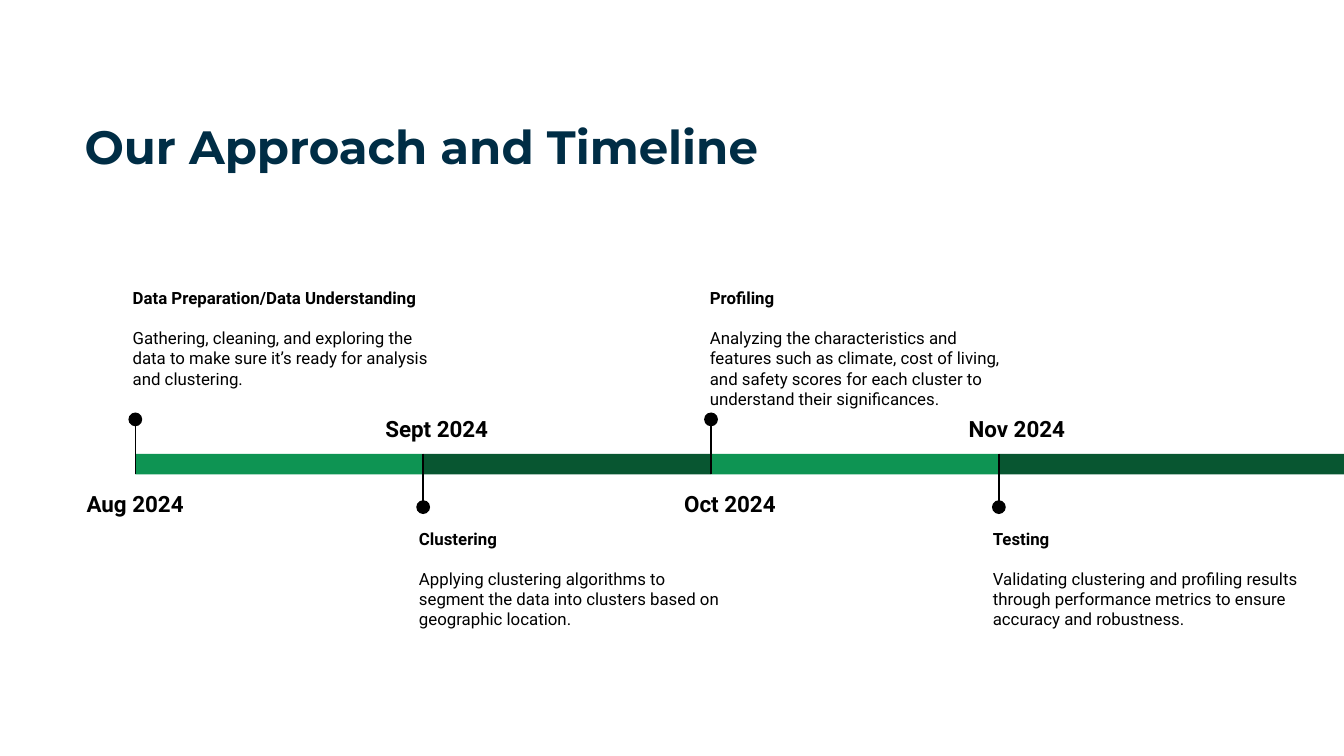
from pptx import Presentation
from pptx.dml.color import RGBColor
from pptx.enum.shapes import MSO_CONNECTOR, MSO_SHAPE
from pptx.enum.text import PP_ALIGN
from pptx.oxml.ns import qn
from pptx.util import Pt
from lxml.etree import SubElement

WIDTH = 720
START = 72.5
STEP = 154.2
BAR_TOP = 243.2
BAR_H = 11
DOT = 7.4
BLACK = "000000"
GREENS = ["0E9453", "085631"]

STAGES = [
    ("Aug 2024", 38.2, 68.4, "Data Preparation/Data Understanding", 64,
     "Gathering, cleaning, and exploring the data to make sure it’s ready "
     "for analysis and clustering."),
    ("Sept 2024", 198, 72, "Clustering", 217.4,
     "Applying clustering algorithms to segment the data into clusters "
     "based on geographic location."),
    ("Oct 2024", 355.4, 71.3, "Profiling", 373.2,
     "Analyzing the characteristics and features such as climate, cost of "
     "living, and safety scores for each cluster to understand their "
     "significances."),
    ("Nov 2024", 505.5, 78.5, "Testing", 524.8,
     "Validating clustering and profiling results through performance "
     "metrics to ensure accuracy and robustness."),
]


def color(code):
    """Turn a hex string into a colour."""
    return RGBColor.from_string(code)


def add_form(slide, kind, left, top, width, height, fill):
    """Add a plain filled shape without outline or shadow."""
    form = slide.shapes.add_shape(kind, Pt(left), Pt(top), Pt(width), Pt(height))
    form.shadow.inherit = False
    form.fill.solid()
    form.fill.fore_color.rgb = color(fill)
    form.line.fill.background()


def add_stem(slide, x, top, bottom):
    """Add a thin vertical line."""
    stem = slide.shapes.add_connector(
        MSO_CONNECTOR.STRAIGHT, Pt(x), Pt(top), Pt(x), Pt(bottom))
    stem.line.color.rgb = color(BLACK)
    stem.line.width = Pt(0.75)
    SubElement(stem._element.spPr, qn("a:effectLst"))


def add_box(slide, left, top, width, height):
    """Add an empty wrapping text box and return its frame."""
    box = slide.shapes.add_textbox(Pt(left), Pt(top), Pt(width), Pt(height))
    frame = box.text_frame
    frame.word_wrap = True
    frame.margin_left = frame.margin_right = Pt(7.2)
    frame.margin_top = frame.margin_bottom = Pt(7.2)
    return frame


def add_run(para, text, size, bold=True, face="Roboto", ink=BLACK):
    """Add one formatted run to a paragraph."""
    run = para.add_run()
    run.text = text
    run.font.name = face
    run.font.size = Pt(size)
    run.font.bold = bold
    run.font.color.rgb = color(ink)


def add_date(slide, text, left, top, width):
    """Add a centred date label."""
    para = add_box(slide, left, top, width, 29.5).paragraphs[0]
    para.alignment = PP_ALIGN.CENTER
    para.line_spacing = 1.15
    add_run(para, text, 12)


def add_note(slide, head, body, left, top):
    """Add a bold heading with a description below it."""
    frame = add_box(slide, left, top, 177.1, 74.2)
    para = frame.paragraphs[0]
    para.space_after = Pt(10.8)
    add_run(para, head, 9)
    add_run(frame.add_paragraph(), body, 9, bold=False)


def add_stage(slide, index, stage):
    """Add one timeline stage, its note above or below the bar by turns."""
    date, date_x, date_w, head, note_x, body = stage
    above = index % 2 == 0
    x = START + index * STEP
    end = WIDTH if index == len(STAGES) - 1 else x + STEP
    base = BAR_TOP + BAR_H
    dot_y = 224.7 if above else 271.7
    add_form(slide, MSO_SHAPE.RECTANGLE, x, BAR_TOP, end - x, BAR_H,
             GREENS[index % 2])
    if above:
        add_stem(slide, x, dot_y, base)
    else:
        add_stem(slide, x, BAR_TOP, dot_y)
    add_form(slide, MSO_SHAPE.OVAL, x - DOT / 2, dot_y - DOT / 2, DOT, DOT, BLACK)
    add_date(slide, date, date_x, 253.4 if above else 213.1, date_w)
    add_note(slide, head, body, note_x, 146.9 if above else 275.8)


def main():
    """Build the slide and save it."""
    deck = Presentation()
    deck.slide_width, deck.slide_height = Pt(WIDTH), Pt(405)
    slide = deck.slides.add_slide(deck.slide_layouts[6])
    title = add_box(slide, 38.2, 56.2, 671, 45.4).paragraphs[0]
    add_run(title, "Our Approach and Timeline", 25, face="Montserrat", ink="002D45")
    for index, stage in enumerate(STAGES):
        add_stage(slide, index, stage)
    deck.save("out.pptx")


if __name__ == "__main__":
    main()
